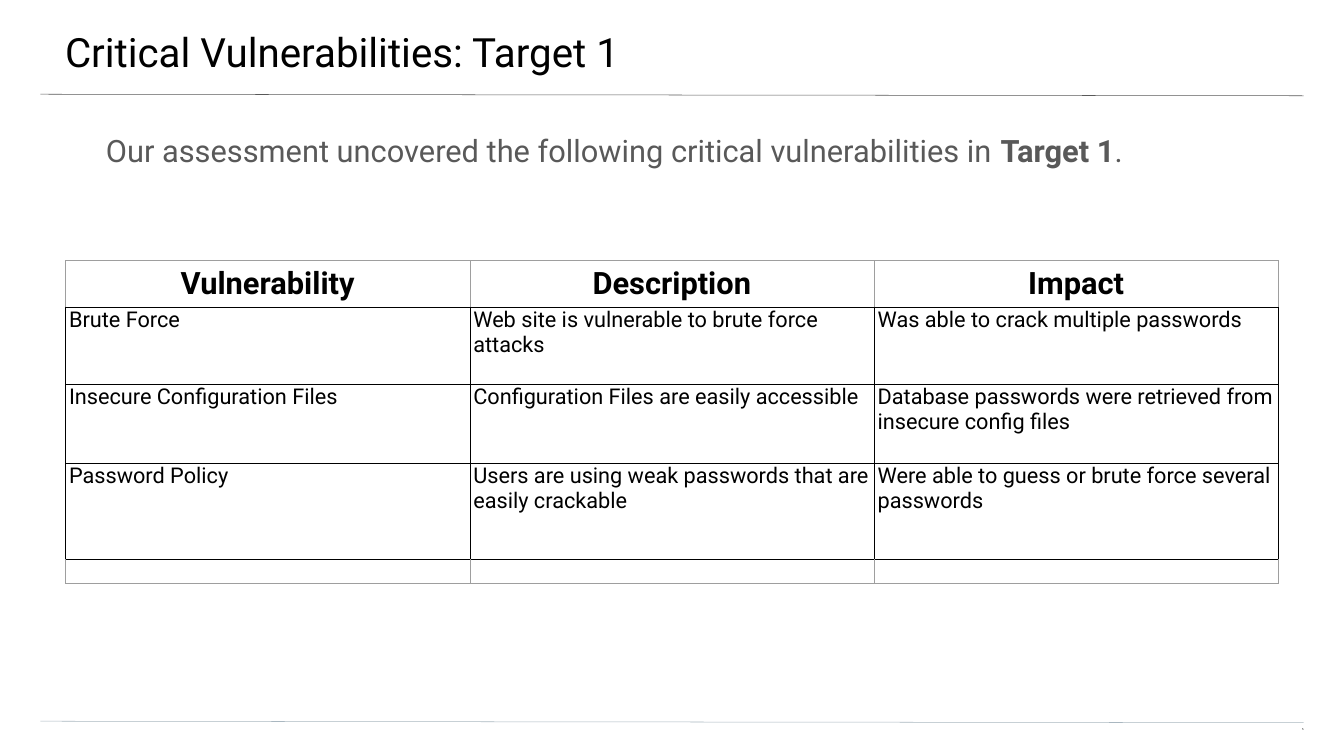
import lxml.etree
import pptx
import pptx.dml.color
import pptx.enum.shapes
import pptx.enum.text
import pptx.oxml.ns
import pptx.util

Inches = pptx.util.Inches
Align = pptx.enum.text.PP_ALIGN
BLACK, GRAY, BORDER_GRAY = "000000", "595959", "9E9E9E"
COLUMN_WIDTH = 8.02
ROW_HEIGHTS = [0.92, 1.54, 1.56, 1.91, 0.48]
ROWS = [
    ["Vulnerability", "Description", "Impact"],
    ["Brute Force", "Web site is vulnerable to brute force attacks",
     "Was able to crack multiple passwords"],
    ["Insecure Configuration Files", "Configuration Files are easily accessible",
     "Database passwords were retrieved from insecure config files"],
    ["Password Policy", "Users are using weak passwords that are easily crackable",
     "Were able to guess or brute force several passwords"],
    ["", "", ""],
]


def color(value):
    """Turn a hex string into a colour."""
    return pptx.dml.color.RGBColor.from_string(value)


def add_text(paragraph, text, size=31, font="Roboto", fill=BLACK, bold=False,
             align=None, spacing=None):
    """Append a formatted run to a paragraph."""
    if align is not None:
        paragraph.alignment = align
    if spacing is not None:
        paragraph.line_spacing = spacing
    run = paragraph.add_run()
    run.text = text
    run.font.size = pptx.util.Pt(size)
    run.font.name = font
    run.font.bold = bold
    run.font.color.rgb = color(fill)


def place(shape, left, top, width, height):
    """Set the position and size of a shape."""
    shape.left, shape.top = Inches(left), Inches(top)
    shape.width, shape.height = Inches(width), Inches(height)


def set_frame(shape, left, top, right, bottom):
    """Set insets, wrapping and top anchoring, and return the first paragraph."""
    frame = shape.text_frame
    frame.margin_left, frame.margin_top = Inches(left), Inches(top)
    frame.margin_right, frame.margin_bottom = Inches(right), Inches(bottom)
    frame.word_wrap = True
    frame.auto_size = pptx.enum.text.MSO_AUTO_SIZE.NONE
    frame.vertical_anchor = pptx.enum.text.MSO_ANCHOR.TOP
    return frame.paragraphs[0]


def add_text_box(slide, box, insets):
    """Add a text box and return its first paragraph."""
    shape = slide.shapes.add_textbox(*map(Inches, box))
    return set_frame(shape, *insets)


def add_rule(slide, top, line_color):
    """Add a thin, slightly sloping rule across the slide."""
    rule = slide.shapes.add_connector(
        pptx.enum.shapes.MSO_CONNECTOR.STRAIGHT,
        Inches(0.8), Inches(top), Inches(25.86), Inches(top + 0.03))
    rule.line.color.rgb = color(line_color)
    rule.line.width = pptx.util.Pt(0.75)
    properties = rule._element.spPr
    lxml.etree.SubElement(properties, pptx.oxml.ns.qn("a:effectLst"))


def set_borders(cell, **borders):
    """Draw the cell borders, given as side=(colour, points)."""
    properties = cell._tc.get_or_add_tcPr()
    for index, side in enumerate("LRTB"):
        line_color, points = borders[side]
        line = lxml.etree.Element(pptx.oxml.ns.qn(f"a:ln{side}"),
                                  w=str(pptx.util.Pt(points)))
        fill = lxml.etree.SubElement(line, pptx.oxml.ns.qn("a:solidFill"))
        lxml.etree.SubElement(fill, pptx.oxml.ns.qn("a:srgbClr"), val=line_color)
        properties.insert(index, line)


def format_cell(cell, text, row_index):
    """Fill a table cell according to its row."""
    is_header, is_last = row_index == 0, row_index == len(ROWS) - 1
    horizontal, vertical = (0.1, 0.1) if is_header else (0.07, 0)
    cell.margin_left = cell.margin_right = Inches(horizontal)
    cell.margin_top = cell.margin_bottom = Inches(vertical)
    cell.fill.background()
    dark, light = (BLACK, 0.5), (BORDER_GRAY, 0.75)
    side = light if is_header or is_last else dark
    set_borders(cell, L=side, R=side, T=light if is_header else dark,
                B=light if is_last else dark)
    if text:
        add_text(cell.text_frame.paragraphs[0], text, size=44 if is_header else 31,
                 bold=is_header, align=Align.CENTER if is_header else Align.LEFT)


def add_findings_table(slide):
    """Add the table of vulnerabilities."""
    column_count = len(ROWS[0])
    frame = slide.shapes.add_table(
        len(ROWS), column_count, Inches(1.3), Inches(5.17),
        Inches(COLUMN_WIDTH * column_count), Inches(sum(ROW_HEIGHTS)))
    table = frame.table
    table.first_row = table.horz_banding = False
    for column in table.columns:
        column.width = Inches(COLUMN_WIDTH)
    for row_index, texts in enumerate(ROWS):
        table.rows[row_index].height = Inches(ROW_HEIGHTS[row_index])
        for column_index, text in enumerate(texts):
            format_cell(table.cell(row_index, column_index), text, row_index)


def main():
    """Build and save the slide."""
    presentation = pptx.Presentation()
    presentation.slide_width = Inches(26.66)
    presentation.slide_height = Inches(15)
    slide = presentation.slides.add_slide(presentation.slide_layouts[5])

    add_rule(slide, 1.87, GRAY)
    add_rule(slide, 14.31, "A9B7C0")

    title = slide.shapes.title
    place(title, -0.04, 0, 26.73, 1.56)
    add_text(set_frame(title, 1.33, 0.53, 0.8, 0.27),
             "Critical Vulnerabilities: Target 1", size=57.6, align=Align.LEFT)

    page_number = add_text_box(slide, (25.1, 14.46, 0.76, 0.31), (0, 0, 0, 0.27))
    add_text(page_number, "5", size=4, font="Arial", align=Align.RIGHT, spacing=0.8)

    summary = add_text_box(slide, (0.77, 2.51, 25.09, 10.79), (1.33, 0, 1.33, 2.67))
    summary.line_spacing = 1.15
    for text, bold in [
        ("Our assessment uncovered the following critical vulnerabilities in ", False),
        ("Target 1", True),
        (".", False),
    ]:
        add_text(summary, text, size=44, fill=GRAY, bold=bold)

    add_findings_table(slide)
    presentation.save("out.pptx")


if __name__ == "__main__":
    main()
